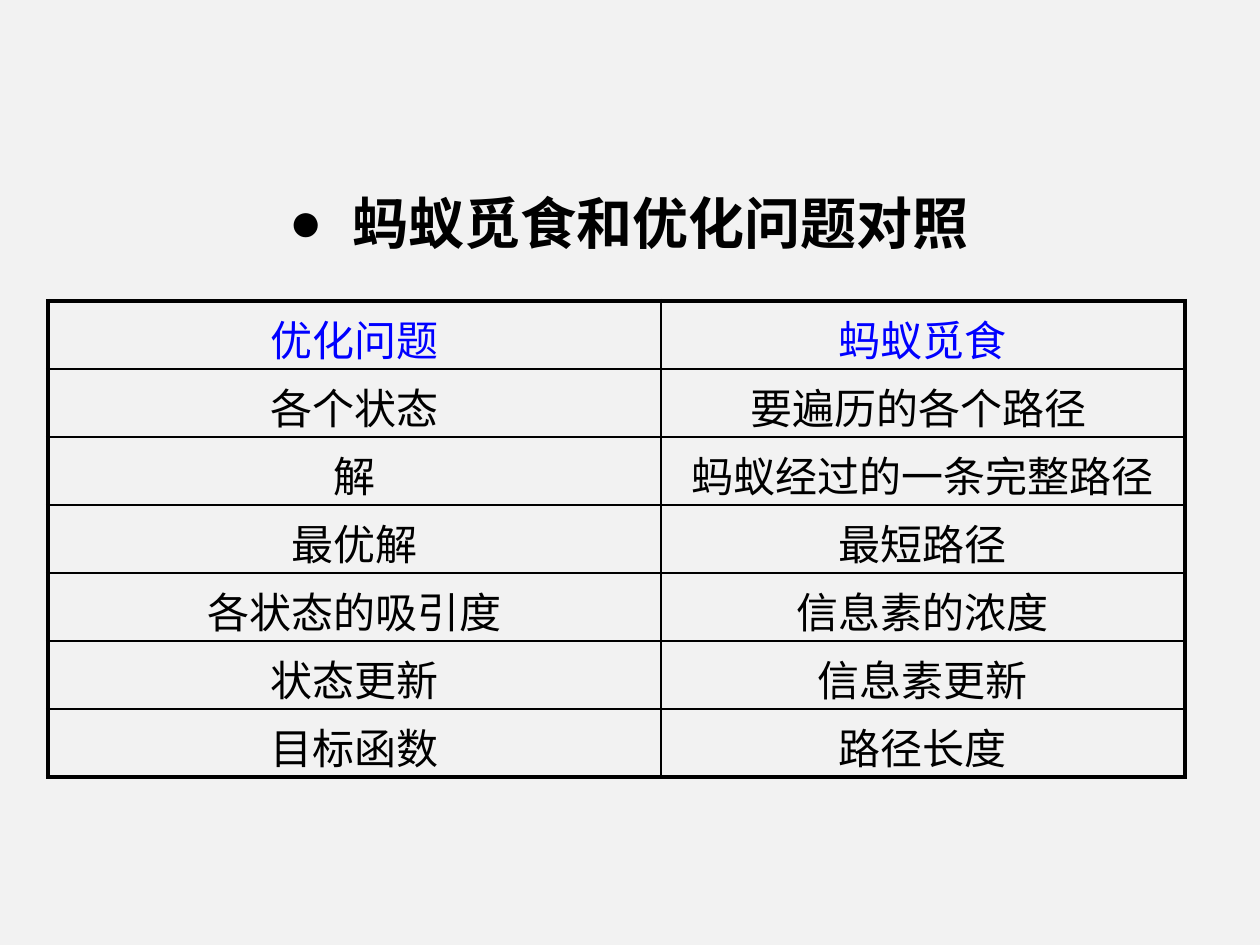
from lxml.etree import SubElement
from pptx import Presentation
from pptx.dml.color import RGBColor as Color
from pptx.enum.text import MSO_ANCHOR as Anchor, MSO_AUTO_SIZE as AutoSize, PP_ALIGN as Align
from pptx.oxml.ns import qn
from pptx.util import Emu, Pt

EMU_PER_PX = 914400 / 168
COLORS = {"page": "F2F2F2", "ink": "000000", "header": "0000FF"}
CJK_FONT = "Noto Sans CJK SC"
ROWS = [
    ("优化问题", "蚂蚁觅食"),
    ("各个状态", "要遍历的各个路径 "),
    ("解", "蚂蚁经过的一条完整路径"),
    ("最优解", "最短路径"),
    ("各状态的吸引度", "信息素的浓度"),
    ("状态更新", "信息素更新"),
    ("目标函数", "路径长度"),
]


def px(length):
    return Emu(round(length * EMU_PER_PX))


def write(frame, text, size=18, font="Arial", color="ink", bold=False,
          align=Align.CENTER, bullet=None, indent=0):
    para = frame.paragraphs[0]
    para.alignment = align
    if bullet:
        properties = para._p.get_or_add_pPr()
        properties.set("marL", str(px(indent)))
        properties.set("indent", str(-px(indent)))
        SubElement(properties, qn("a:buFont"), typeface="Arial")
        SubElement(properties, qn("a:buChar"), char=bullet)
    span = para.add_run()
    span.text = text
    span.font.size = Pt(size)
    span.font.bold = bold
    span.font.name = font
    span.font.color.rgb = Color.from_string(COLORS[color])
    SubElement(span._r.get_or_add_rPr(), qn("a:ea"), typeface=CJK_FONT)


class Page:
    def __init__(self, deck):
        self.slide = deck.slides.add_slide(deck.slide_layouts[5])
        fill = self.slide.background.fill
        fill.solid()
        fill.fore_color.rgb = Color.from_string(COLORS["page"])

    def title(self, text, left, top, width, height):
        box = self.slide.shapes.title
        box.left, box.top, box.width, box.height = map(px, (left, top, width, height))
        frame = box.text_frame
        frame.word_wrap = True
        frame.auto_size = AutoSize.NONE
        frame.vertical_anchor = Anchor.MIDDLE
        write(frame, text, size=24, font=CJK_FONT, bold=True,
              align=Align.LEFT, bullet="●", indent=64)

    def border(self, cell, side, points):
        line = SubElement(cell._tc.get_or_add_tcPr(), qn(f"a:ln{side}"), w=str(Pt(points)))
        fill = SubElement(line, qn("a:solidFill"))
        SubElement(fill, qn("a:srgbClr"), val=COLORS["ink"])

    def table(self, rows, left, top, widths, row_height, thin=1, thick=2.25):
        last_row, last_column = len(rows) - 1, len(widths) - 1
        table = self.slide.shapes.add_table(
            len(rows), len(widths), px(left), px(top),
            px(sum(widths)), px(row_height * len(rows))).table
        table.first_row = table.horz_banding = False
        for column, width in zip(table.columns, widths):
            column.width = px(width)
        for r, texts in enumerate(rows):
            table.rows[r].height = px(row_height)
            for c, text in enumerate(texts):
                cell = table.cell(r, c)
                cell.margin_top, cell.margin_bottom = px(7), px(0)
                cell.vertical_anchor = Anchor.TOP
                outer = {"L": c == 0, "R": c == last_column,
                         "T": r == 0, "B": r == last_row}
                for side, is_outer in outer.items():
                    self.border(cell, side, thick if is_outer else thin)
                cell.fill.background()
                write(cell.text_frame, text, color="ink" if r else "header")


def main():
    deck = Presentation()
    deck.slide_width, deck.slide_height = px(1260), px(945)
    page = Page(deck)
    page.title("蚂蚁觅食和优化问题对照", 272, 179, 815, 86)
    page.table(ROWS, 48, 301, widths=(613, 524), row_height=68)
    deck.save("out.pptx")


if __name__ == "__main__":
    main()
